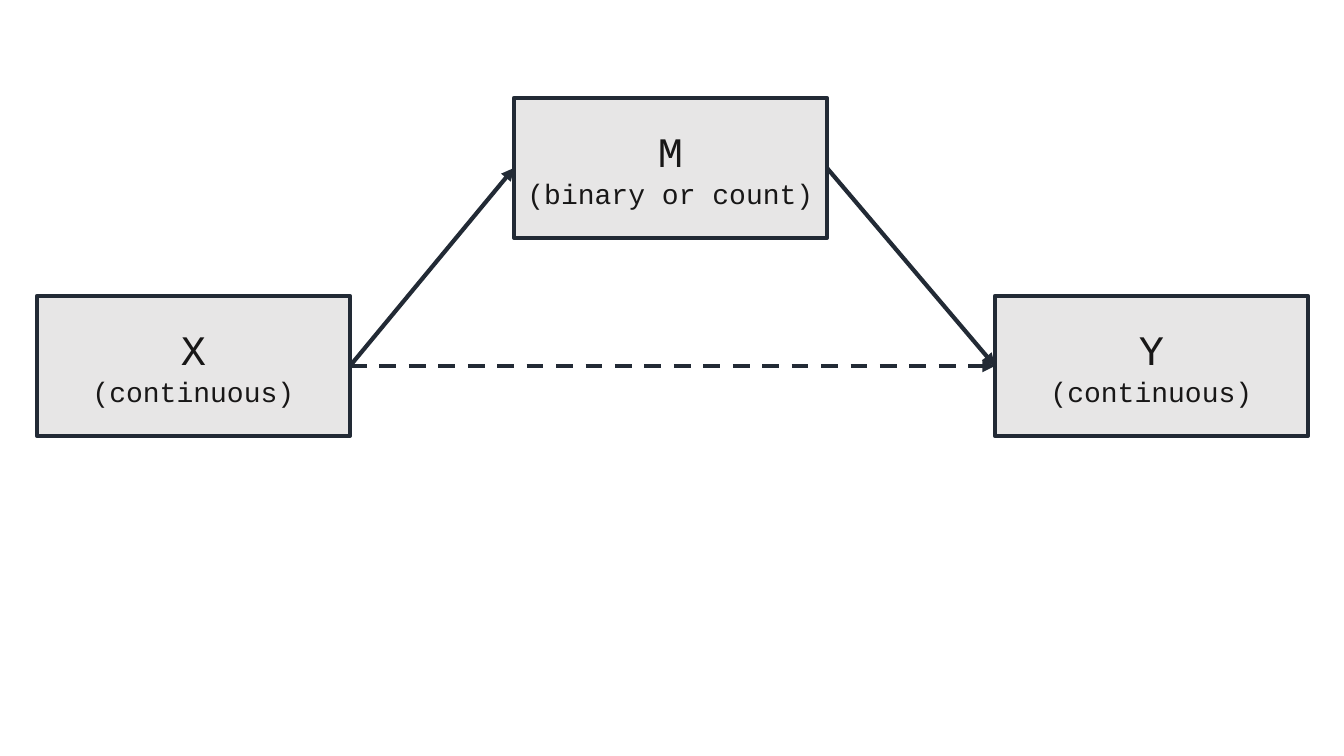
from dataclasses import dataclass

from lxml.etree import SubElement
from pptx import Presentation
from pptx.dml.color import RGBColor
from pptx.enum.dml import MSO_LINE
from pptx.enum.shapes import MSO_CONNECTOR, MSO_SHAPE
from pptx.enum.text import MSO_ANCHOR, PP_ALIGN
from pptx.oxml.ns import qn
from pptx.util import Emu, Pt

PIXEL = 914400 / 100.8
LEFT_SITE, RIGHT_SITE = 1, 3


@dataclass(frozen=True)
class Theme:
    fill: RGBColor = RGBColor(0xE7, 0xE6, 0xE6)
    line: RGBColor = RGBColor(0x22, 0x2A, 0x35)
    text: RGBColor = RGBColor(0x18, 0x17, 0x17)
    font: str = "Courier New"
    name_size: int = 30
    kind_size: int = 20
    line_width: int = 3


THEME = Theme()


def px(pixels):
    return Emu(round(pixels * PIXEL))


def write(para, text, size, color=THEME.text, font=THEME.font, align=PP_ALIGN.CENTER):
    para.alignment = align
    span = para.add_run()
    span.text = text
    span.font.size = Pt(size)
    span.font.name = font
    span.font.color.rgb = color


def style_line(line):
    line.color.rgb = THEME.line
    line.width = Pt(THEME.line_width)


def add_variable(page, left, top, width, height, name, kind):
    """Draw a variable box: its name above its measurement kind."""
    box = page.shapes.add_shape(
        MSO_SHAPE.RECTANGLE, px(left), px(top), px(width), px(height))
    box.shadow.inherit = False
    box.fill.solid()
    box.fill.fore_color.rgb = THEME.fill
    style_line(box.line)
    frame = box.text_frame
    frame.word_wrap = True
    frame.vertical_anchor = MSO_ANCHOR.MIDDLE
    write(frame.paragraphs[0], name, size=THEME.name_size)
    write(frame.add_paragraph(), kind, size=THEME.kind_size)
    return box


def add_effect(page, cause, outcome, dash=None):
    """Join the right side of the cause to the left side of the outcome."""
    arrow = page.shapes.add_connector(MSO_CONNECTOR.STRAIGHT, 0, 0, 0, 0)
    arrow.begin_connect(cause, RIGHT_SITE)
    arrow.end_connect(outcome, LEFT_SITE)
    style_line(arrow.line)
    if dash is not None:
        arrow.line.dash_style = dash
    SubElement(arrow.line._get_or_add_ln(), qn("a:tailEnd"), type="triangle")
    SubElement(arrow._element.spPr, qn("a:effectLst"))


def add_mediation_diagram(page, left, top, width, height):
    """Place cause and outcome at the lower corners, mediator above."""
    box_width, box_height = 313, 140
    base = top + height - box_height
    middle = left + (width - box_width) // 2 - 2
    size = (box_width, box_height)

    # Variables
    cause = add_variable(page, left, base, *size, "X", "(continuous)")
    mediator = add_variable(page, middle, top, *size, "M", "(binary or count)")
    outcome = add_variable(
        page, left + width - box_width, base, *size, "Y", "(continuous)")

    # Indirect path, then direct path
    add_effect(page, cause, mediator)
    add_effect(page, mediator, outcome)
    add_effect(page, cause, outcome, dash=MSO_LINE.DASH)


deck = Presentation()
deck.slide_width, deck.slide_height = px(1344), px(756)
page = deck.slides.add_slide(deck.slide_layouts[6])
add_mediation_diagram(page, left=37, top=98, width=1271, height=338)
deck.save("out.pptx")
